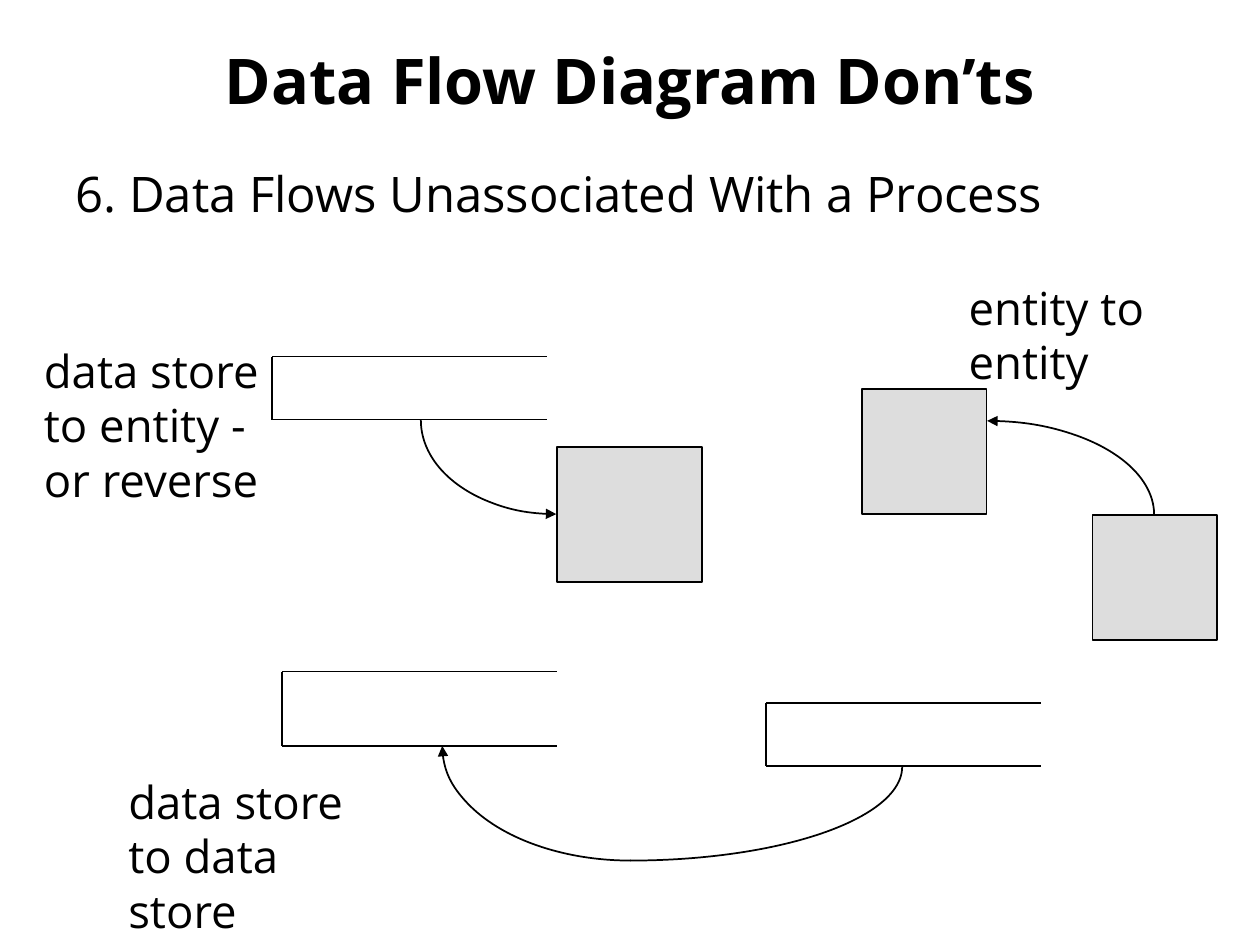
from pptx import Presentation
from pptx.dml.color import RGBColor
from pptx.enum.shapes import MSO_CONNECTOR, MSO_SHAPE
from pptx.enum.text import MSO_ANCHOR, PP_ALIGN
from pptx.oxml.ns import qn
from pptx.util import Inches, Pt
from lxml import etree

STRAIGHT = MSO_CONNECTOR.STRAIGHT
ARC, RECTANGLE = MSO_SHAPE.ARC, MSO_SHAPE.RECTANGLE
LEFT, CENTER = PP_ALIGN.LEFT, PP_ALIGN.CENTER
TOP, MIDDLE = MSO_ANCHOR.TOP, MSO_ANCHOR.MIDDLE
BLACK, GRAY = "000000", "DDDDDD"
FONT = "Open Sans"
STORE_WIDTH = 2.18
ANGLE_UNIT = 0.6


def color(value):
    return RGBColor.from_string(value)


def outline(shape):
    shape.line.color.rgb = color(BLACK)
    shape.line.width = Pt(1)


deck = Presentation()
deck.slide_width, deck.slide_height = Inches(10), Inches(7.5)
page = deck.slides.add_slide(deck.slide_layouts[6])
shapes = page.shapes

stores = [(2.16, 2.83, 0.5), (2.24, 5.33, 0.59), (6.08, 5.58, 0.5)]
for left, top, height in stores:
    right, bottom = left + STORE_WIDTH, top + height
    for ends in [
        (right, top, left, top),
        (left, top, left, bottom),
        (right, bottom, left, bottom),
    ]:
        edge = shapes.add_connector(STRAIGHT, *map(Inches, ends))
        outline(edge)
        etree.SubElement(edge._element.spPr, qn("a:effectLst"))

entities = [(4.42, 3.55, 1.15, 1.07), (6.84, 3.09, 0.99, 0.99), (8.67, 4.09, 0.99, 0.99)]
for bounds in entities:
    entity = shapes.add_shape(RECTANGLE, *map(Inches, bounds))
    entity.shadow.inherit = False
    entity.fill.solid()
    entity.fill.fore_color.rgb = color(GRAY)
    outline(entity)

flows = [
    ((3.34, 2.59, 2.15, 1.49), 90, 180, "a:headEnd"),
    ((2.84, 5.34, 4.32, 1.49), 0, 90, None),
    ((3.51, 5.01, 2.99, 1.82), 90, 180, "a:tailEnd"),
    ((6.51, 3.34, 2.65, 1.49), 270, 0, "a:headEnd"),
]
for bounds, start, end, arrow in flows:
    flow = shapes.add_shape(ARC, *map(Inches, bounds))
    flow.shadow.inherit = False
    flow.adjustments[0] = start * ANGLE_UNIT
    flow.adjustments[1] = end * ANGLE_UNIT
    flow.fill.background()
    outline(flow)
    if arrow:
        etree.SubElement(flow.line._get_or_add_ln(), qn(arrow), type="triangle")

texts = [
    ("Data Flow Diagram Don’ts", (0.75, 0.17, 8.5, 0.92), 36, True, CENTER, MIDDLE, 0.1),
    ("6. Data Flows Unassociated With a Process", (0, 1.25, 10, 0.56), 28, False, LEFT, TOP, 0.6),
    ("entity to entity", (7.59, 2.17, 2.33, 0.96), 26, False, LEFT, TOP, 0.1),
    ("data store to entity - or reverse", (0.25, 2.67, 2.08, 1.4), 26, False, LEFT, TOP, 0.1),
    ("data store to data store", (0.92, 6.09, 2.33, 1.4), 26, False, LEFT, TOP, 0.1),
]
for wording, bounds, size, bold, alignment, anchor, inset in texts:
    box = shapes.add_textbox(*map(Inches, bounds))
    frame = box.text_frame
    frame.word_wrap = True
    frame.vertical_anchor = anchor
    frame.margin_left = Inches(inset)
    frame.text = wording
    para = frame.paragraphs[0]
    para.alignment = alignment
    span = para.runs[0]
    span.font.name = FONT
    span.font.size = Pt(size)
    span.font.bold = bold
    span.font.color.rgb = color(BLACK)

deck.save("out.pptx")
